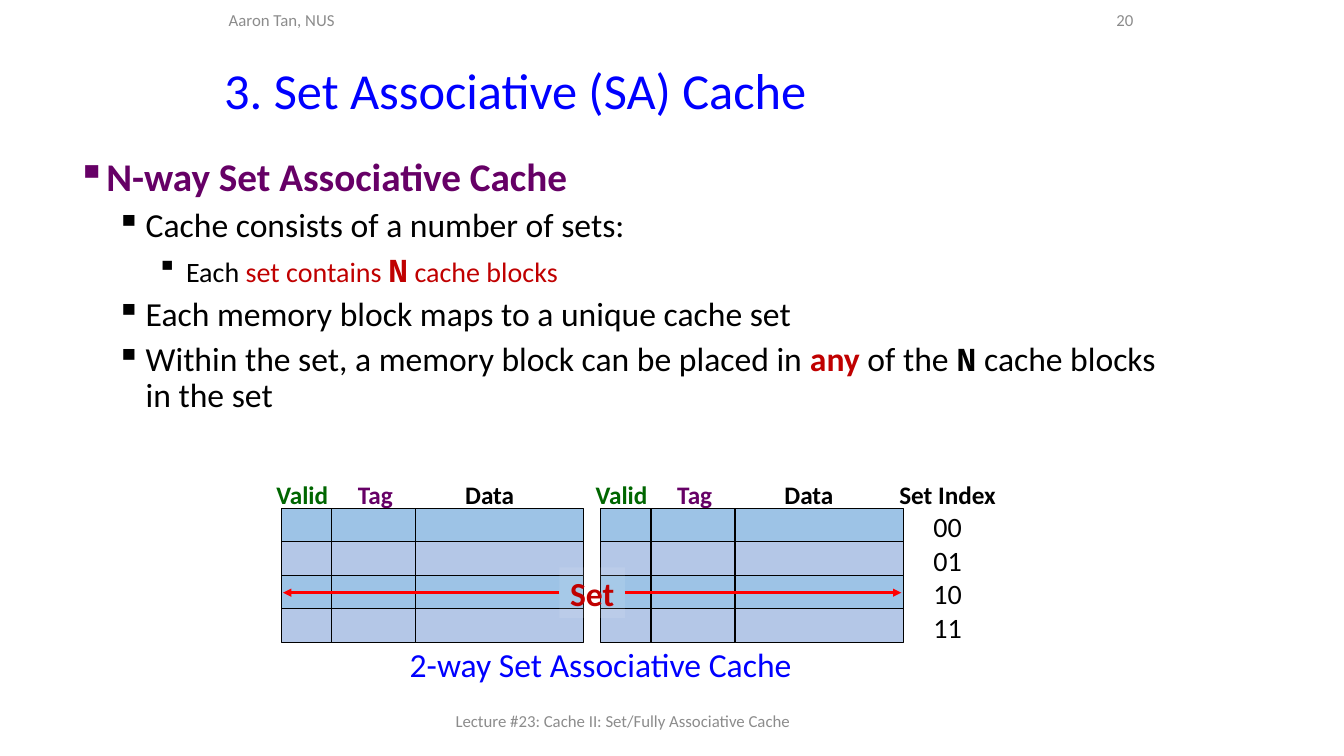
from dataclasses import dataclass

from lxml.etree import SubElement
from pptx import Presentation
from pptx.dml.color import RGBColor
from pptx.enum.shapes import MSO_CONNECTOR, MSO_SHAPE
from pptx.enum.text import MSO_ANCHOR, PP_ALIGN
from pptx.oxml.ns import qn
from pptx.util import Inches, Pt


@dataclass(frozen=True)
class Theme:
    """Colours, fonts and type sizes of the slide."""
    blue: str = "0000FF"
    purple: str = "660066"
    green: str = "006600"
    crimson: str = "C00000"
    red: str = "FF0000"
    black: str = "000000"
    white: str = "FFFFFF"
    grey: str = "8C8C8C"
    rows: tuple = ("9DC3E6", "B4C7E7")
    font: str = "Calibri"
    mono: str = "Courier New"
    title: int = 36
    topic: int = 28
    point: int = 24
    detail: int = 20
    label: int = 18
    margin: int = 12


@dataclass(frozen=True)
class Box:
    """An area in grid units, six to the inch on an 80 by 45 slide."""
    x: float
    y: float
    w: float
    h: float

    def inner(self, x, y, w, h):
        """Return an area placed relative to this one."""
        return Box(self.x + x, self.y + y, w, h)

    def emu(self):
        """Return left, top, width and height as slide lengths."""
        return [Inches(length / 6) for length in (self.x, self.y, self.w, self.h)]


THEME = Theme()
ROW = 2
WAY_STEP = 19
WAYS_WIDTH = 37
HEADER = 1.98
LABEL_WIDTH = 6
COLUMNS = (
    ("Valid", 3, 1.25, THEME.green),
    ("Tag", 5, 5.6, THEME.purple),
    ("Data", 10, 12.4, THEME.black),
)
SET_INDEXES = ("00", "01", "10", "11")
LEVELS = ((0.29, THEME.topic), (0.68, THEME.point), (1.08, THEME.detail))
POINTS = (
    (0, [("N-way Set Associative Cache", {"color": THEME.purple, "bold": True})]),
    (1, [("Cache consists of a number of sets:", {})]),
    (2, [
        ("Each ", {}),
        ("set contains ", {"color": THEME.crimson}),
        ("N", {"color": THEME.crimson, "bold": True, "font": THEME.mono, "size": THEME.point}),
        (" cache blocks", {"color": THEME.crimson}),
    ]),
    (1, [("Each memory block maps to a unique cache set", {})]),
    (1, [
        ("Within the set, a memory block can be placed in ", {}),
        ("any", {"color": THEME.crimson, "bold": True}),
        (" of the ", {}),
        ("N", {"bold": True, "font": THEME.mono}),
        (" cache blocks in the set", {}),
    ]),
)


def add_run(paragraph, text, size, color=THEME.black, bold=False, font=THEME.font):
    """Append one styled run to a paragraph."""
    run = paragraph.add_run()
    run.text = text
    run.font.size = Pt(size)
    run.font.name = font
    run.font.bold = bold
    run.font.color.rgb = RGBColor.from_string(color)


def add_text(slide, box, text, size, color, bold=False, align=PP_ALIGN.LEFT,
             anchor=MSO_ANCHOR.MIDDLE, wrap=True):
    """Place a one-paragraph text box."""
    frame = slide.shapes.add_textbox(*box.emu()).text_frame
    frame.word_wrap = wrap
    frame.vertical_anchor = anchor
    paragraph = frame.paragraphs[0]
    paragraph.alignment = align
    add_run(paragraph, text, size, color, bold)


def add_centred(slide, box, text, size, color, bold=False):
    """Place an unwrapped label centred across its box."""
    add_text(slide, box, text, size, color, bold, PP_ALIGN.CENTER, MSO_ANCHOR.TOP, False)


def add_margins(slide, page):
    """Place the author, page number and lecture name."""
    add_text(slide, page.inner(26.52, 41.7, 27, 2.4),
             "Lecture #23: Cache II: Set/Fully Associative Cache", THEME.margin, THEME.grey)
    add_text(slide, page.inner(13.02, 0.12, 19, 2.16), "Aaron Tan, NUS", THEME.margin, THEME.grey)
    add_text(slide, page.inner(62.34, 0.12, 5.7, 2.16), "20", THEME.margin, THEME.grey,
             align=PP_ALIGN.RIGHT)


def add_points(slide, box):
    """Place the bulleted explanation."""
    frame = slide.shapes.add_textbox(*box.emu()).text_frame
    frame.word_wrap = True
    for order, (level, runs) in enumerate(POINTS):
        paragraph = frame.add_paragraph() if order else frame.paragraphs[0]
        indent, size = LEVELS[level]
        paragraph.level = level
        paragraph.line_spacing = 0.9
        paragraph.space_before = Pt(6)
        properties = paragraph._p.get_or_add_pPr()
        properties.set("marL", str(Inches(indent)))
        properties.set("indent", str(Inches(-0.29)))
        SubElement(properties, qn("a:buChar")).set("char", "▪")
        for text, style in runs:
            add_run(paragraph, text, **{"size": size, **style})


def add_way(slide, box):
    """Draw one way of the cache: column labels above its blocks."""
    left = 0
    for label, width, centre, color in COLUMNS:
        add_centred(slide, box.inner(centre - LABEL_WIDTH / 2, 0, LABEL_WIDTH, 2.22),
                    label, THEME.label, color, True)
        for row in range(len(SET_INDEXES)):
            block = slide.shapes.add_shape(
                MSO_SHAPE.RECTANGLE, *box.inner(left, HEADER + row * ROW, width, ROW).emu())
            block.shadow.inherit = False
            block.fill.solid()
            block.fill.fore_color.rgb = RGBColor.from_string(THEME.rows[row % 2])
            block.line.color.rgb = RGBColor.from_string(THEME.black)
            block.line.width = Pt(0.75)
        left += width


def add_indexes(slide, box):
    """Place the set index column."""
    add_centred(slide, box.inner(0, 0, box.w, 2.22), "Set Index", THEME.label, THEME.black, True)
    for row, index in enumerate(SET_INDEXES):
        add_centred(slide, box.inner(0, HEADER - 0.2 + row * ROW, box.w, 2.22),
                    index, THEME.detail, THEME.black)


def add_set_span(slide, box):
    """Mark one set across both ways with a label and outward arrows."""
    label = slide.shapes.add_shape(MSO_SHAPE.RECTANGLE, *box.inner(box.w / 2 - 1.95, 0, 3.9, 3).emu())
    label.shadow.inherit = False
    label.line.fill.background()
    label.fill.solid()
    label.fill.fore_color.rgb = RGBColor.from_string(THEME.white)
    tint = label.fill._xPr.find(qn("a:solidFill"))[0]
    SubElement(tint, qn("a:alpha")).set("val", "10000")
    label.text_frame.word_wrap = False
    paragraph = label.text_frame.paragraphs[0]
    paragraph.alignment = PP_ALIGN.CENTER
    add_run(paragraph, "Set", THEME.point, THEME.crimson, True)
    for side in (1, -1):
        start = box.inner(box.w / 2 + side * 1.95, 1.5, 0, 0).emu()
        end = box.inner(box.w / 2 + side * 18.4, 1.5, 0, 0).emu()
        arrow = slide.shapes.add_connector(MSO_CONNECTOR.STRAIGHT, *start[:2], *end[:2])
        arrow.line.color.rgb = RGBColor.from_string(THEME.red)
        arrow.line.width = Pt(1.75)
        SubElement(arrow.line._get_or_add_ln(), qn("a:tailEnd")).set("type", "triangle")
        SubElement(arrow._element.spPr, qn("a:effectLst"))


def add_cache(slide, box):
    """Draw the two-way cache with its caption."""
    add_centred(slide, box.inner(6, 9.8, 26, 3), "2-way Set Associative Cache", THEME.point, THEME.blue)
    for way in range(2):
        add_way(slide, box.inner(way * WAY_STEP, 0, 18, 10))
    add_indexes(slide, box.inner(WAYS_WIDTH - 2.35, 0, 10, 10))
    add_set_span(slide, box.inner(0, 5.52, WAYS_WIDTH, 3))


def main():
    """Build the slide and save it."""
    deck = Presentation()
    deck.slide_width, deck.slide_height = Inches(13.33), Inches(7.5)
    slide = deck.slides.add_slide(deck.slide_layouts[6])
    page = Box(0, 0, 80, 45)
    add_text(slide, page.inner(12.75, 3.24, 55.26, 4.2), "3. Set Associative (SA) Cache",
             THEME.title, THEME.blue)
    add_margins(slide, page)
    add_points(slide, page.inner(4, 9.08, 65.88, 31.4))
    add_cache(slide, page.inner(16.74, 28.26, 43, 13))
    deck.save("out.pptx")


if __name__ == "__main__":
    main()
